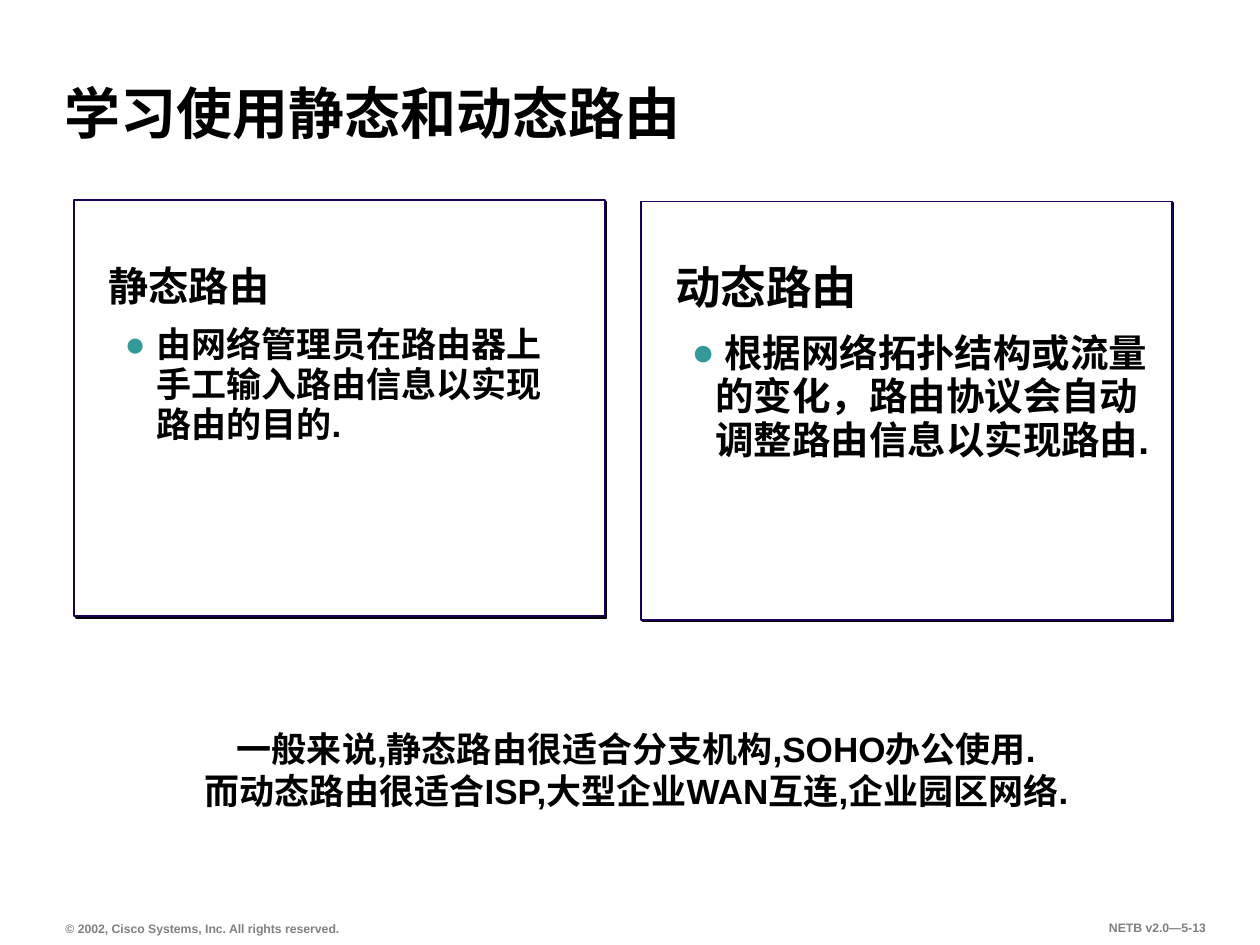
from dataclasses import dataclass
from lxml.etree import SubElement
from pptx import Presentation
from pptx.dml.color import RGBColor
from pptx.enum.shapes import MSO_SHAPE
from pptx.enum.text import MSO_ANCHOR, MSO_AUTO_SIZE, PP_ALIGN
from pptx.oxml.ns import qn
from pptx.util import Inches, Pt


@dataclass(frozen=True)
class Theme:
    font: str = "Arial"
    ink: str = "000000"
    paper: str = "FFFFFF"
    border: str = "190055"
    bullet: str = "339999"
    muted: str = "808080"
    title: int = 32
    summary: int = 20
    footer: int = 7


theme = Theme()
prs = Presentation()
prs.slide_width, prs.slide_height = Inches(10), Inches(7.5)
COL, ROW = prs.slide_width / 100, prs.slide_height / 75
s = prs.slides.add_slide(prs.slide_layouts[6])


def add_box(x, y, w, h, inset=(0.9, 0.4), anchor=MSO_ANCHOR.TOP, wrap=True):
    sp = s.shapes.add_textbox(int(x * COL), int(y * ROW), int(w * COL), int(h * ROW))
    tf = sp.text_frame
    tf.word_wrap = wrap
    tf.vertical_anchor = anchor
    tf.margin_left = tf.margin_right = int(inset[0] * COL)
    tf.margin_top = tf.margin_bottom = int(inset[1] * ROW)
    return tf


def add_text(p, text, size, color=theme.ink, align=PP_ALIGN.LEFT, spacing=1.0):
    p.alignment = align
    p.line_spacing = spacing
    r = p.add_run()
    r.text = text
    r.font.name = theme.font
    r.font.size = Pt(size)
    r.font.bold = True
    r.font.color.rgb = RGBColor.from_string(color)


footers = [
    (4.3, 23.6, "© 2002, Cisco Systems, Inc. All rights reserved.", PP_ALIGN.LEFT, MSO_ANCHOR.BOTTOM),
    (83.8, 12.8, "NETB v2.0—5-13", PP_ALIGN.RIGHT, MSO_ANCHOR.TOP),
]
for x, w, text, align, anchor in footers:
    tf = add_box(x, 72.6, w, 2.1, anchor=anchor, wrap=False)
    tf.auto_size = MSO_AUTO_SIZE.SHAPE_TO_FIT_TEXT
    add_text(tf.paragraphs[0], text, theme.footer, theme.muted, align)

panels = [
    ((5.9, 15.9, 42.1, 33), (7.5, 20.4, 38.7, 28), 23, 20, 8.8, 3.8, 2.5,
     "静态路由", "由网络管理员在路由器上手工输入路由信息以实现路由的目的."),
    ((50.9, 16, 42.1, 33.2), (52.5, 20.3, 40, 26.6), 26, 22, 9.6, 3.2, 1.9,
     "动态路由", " 根据网络拓扑结构或流量的变化，路由协议会自动调整路由信息以实现路由."),
]
for frame, body, head_size, body_size, gap, margin, hang, heading, detail in panels:
    x, y, w, h = frame
    sp = s.shapes.add_shape(MSO_SHAPE.RECTANGLE, int(x * COL), int(y * ROW), int(w * COL), int(h * ROW))
    sp.fill.solid()
    sp.fill.fore_color.rgb = RGBColor.from_string(theme.paper)
    sp.line.color.rgb = RGBColor.from_string(theme.border)
    sp.line.width = Pt(1)
    sp.shadow.inherit = False
    effects = sp.element.spPr.find(qn("a:effectLst"))
    shadow = SubElement(effects, qn("a:outerShdw"), blurRad="0", dist=str(Pt(1.4)),
                        dir="2700000", algn="ctr", rotWithShape="0")
    SubElement(shadow, qn("a:srgbClr"), val=theme.ink)

    tf = add_box(*body, inset=(1.1, 0.6))
    add_text(tf.paragraphs[0], heading, head_size, spacing=0.95)
    p = tf.add_paragraph()
    p.level = 1
    pPr = p._p.get_or_add_pPr()
    pPr.set("marL", str(int(margin * COL)))
    pPr.set("indent", str(int(-hang * COL)))
    SubElement(SubElement(pPr, qn("a:buClr")), qn("a:srgbClr"), val=theme.bullet)
    SubElement(pPr, qn("a:buFont"), typeface=theme.font)
    SubElement(pPr, qn("a:buChar"), char="●")
    p.space_before = Pt(gap)
    add_text(p, detail, body_size, spacing=0.95)

tf = add_box(4.2, 2.8, 83.4, 9.2, anchor=MSO_ANCHOR.BOTTOM)
add_text(tf.paragraphs[0], "学习使用静态和动态路由", theme.title, spacing=0.9)

tf = add_box(8.5, 52.6, 84, 16.9, inset=(0.8, 0.4), anchor=MSO_ANCHOR.MIDDLE, wrap=False)
add_text(tf.paragraphs[0], "一般来说,静态路由很适合分支机构,SOHO办公使用.", theme.summary, align=PP_ALIGN.CENTER)
add_text(tf.add_paragraph(), "而动态路由很适合ISP,大型企业WAN互连,企业园区网络.", theme.summary, align=PP_ALIGN.CENTER)

prs.save("out.pptx")
